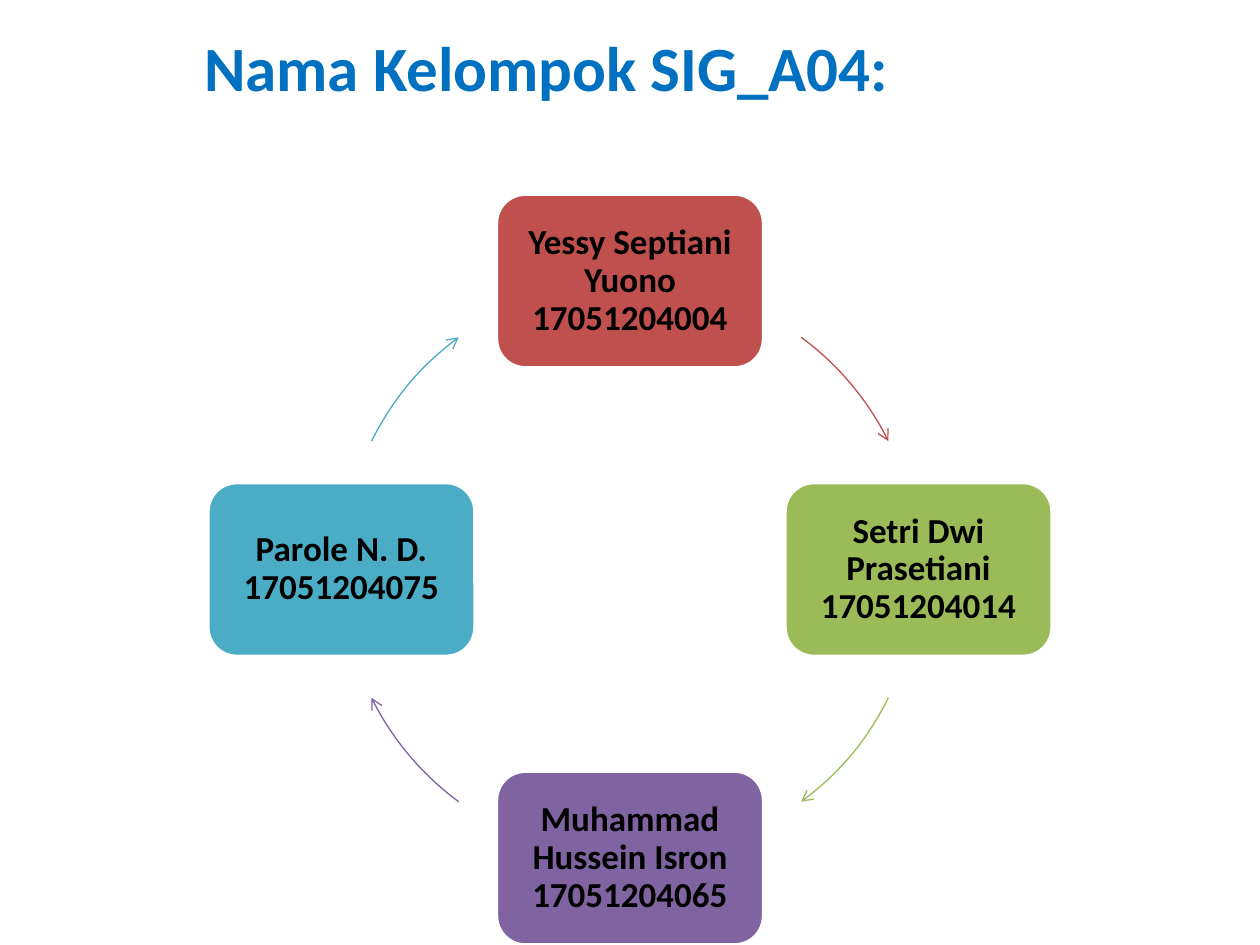
import math
from dataclasses import dataclass

from lxml import etree
from pptx import Presentation
from pptx.dml.color import RGBColor
from pptx.enum.shapes import MSO_SHAPE
from pptx.enum.text import MSO_ANCHOR, PP_ALIGN
from pptx.oxml.ns import qn
from pptx.slide import Slide
from pptx.text.text import Font
from pptx.util import Inches, Pt

ROUNDED_BOX = MSO_SHAPE.ROUNDED_RECTANGLE
ARC = MSO_SHAPE.ARC
MIDDLE = MSO_ANCHOR.MIDDLE
CENTER = PP_ALIGN.CENTER
LEFT = PP_ALIGN.LEFT

BLUE = RGBColor(0x00, 0x70, 0xC0)
BLACK = RGBColor(0x00, 0x00, 0x00)
WHITE = RGBColor(0xFF, 0xFF, 0xFF)
RED = RGBColor(0xC0, 0x50, 0x4D)
GREEN = RGBColor(0x9B, 0xBB, 0x59)
PURPLE = RGBColor(0x80, 0x64, 0xA2)
TEAL = RGBColor(0x4B, 0xAC, 0xC6)

SLIDE_WIDTH, SLIDE_HEIGHT = Inches(10), Inches(7.5)
BOX_WIDTH, BOX_HEIGHT = Inches(2.12), Inches(1.38)
BOX_INSET = Inches(0.08)
RADIUS = Inches(2.29)
CENTER_X = SLIDE_WIDTH // 2
CENTER_Y = SLIDE_HEIGHT - BOX_HEIGHT // 2 - RADIUS
ARC_HALF_SWEEP = 13.6
ARC_UNIT = 0.6  # arc adjustments count 60000ths of a degree, scaled by 100000


@dataclass(frozen=True)
class Member:
    """A group member; angles run clockwise in degrees from three o'clock."""
    label: str
    color: RGBColor
    box_angle: float
    arrow_angle: float


MEMBERS = [
    Member("Yessy Septiani Yuono 17051204004", RED, 270, 320),
    Member("Setri Dwi Prasetiani 17051204014", GREEN, 0, 40),
    Member("Muhammad Hussein Isron 17051204065", PURPLE, 90, 140),
    Member("Parole N. D. 17051204075", TEAL, 180, 220),
]


def set_font(font: Font, size: int, color: RGBColor) -> None:
    font.name = "Calibri"
    font.size = Pt(size)
    font.bold = True
    font.color.rgb = color


def add_title(slide: Slide, text: str) -> None:
    title = slide.shapes.title
    title.left, title.top = Inches(1.52), 0
    title.width, title.height = Inches(6.97), Inches(1.06)
    title.text_frame.text = text
    title.text_frame.vertical_anchor = MIDDLE
    paragraph = title.text_frame.paragraphs[0]
    paragraph.alignment = LEFT
    set_font(paragraph.font, 36, BLUE)


def add_member_box(slide: Slide, member: Member) -> None:
    angle = math.radians(member.box_angle)
    left = round(CENTER_X + RADIUS * math.cos(angle) - BOX_WIDTH / 2)
    top = round(CENTER_Y + RADIUS * math.sin(angle) - BOX_HEIGHT / 2)
    box = slide.shapes.add_shape(ROUNDED_BOX, left, top, BOX_WIDTH, BOX_HEIGHT)
    box.shadow.inherit = False
    box.fill.solid()
    box.fill.fore_color.rgb = member.color
    box.line.color.rgb = WHITE
    box.line.width = Pt(2)

    frame = box.text_frame
    frame.text = member.label
    frame.word_wrap = True
    frame.vertical_anchor = MIDDLE
    frame.margin_left = frame.margin_right = BOX_INSET
    frame.margin_top = frame.margin_bottom = BOX_INSET
    paragraph = frame.paragraphs[0]
    paragraph.alignment = CENTER
    paragraph.line_spacing = 0.9
    set_font(paragraph.font, 20, BLACK)


def add_cycle_arrow(slide: Slide, member: Member) -> None:
    arrow = slide.shapes.add_shape(
        ARC, CENTER_X - RADIUS, CENTER_Y - RADIUS, 2 * RADIUS, 2 * RADIUS)
    arrow.adjustments[0] = (member.arrow_angle - ARC_HALF_SWEEP) * ARC_UNIT
    arrow.adjustments[1] = (member.arrow_angle + ARC_HALF_SWEEP) * ARC_UNIT
    arrow.shadow.inherit = False
    arrow.fill.background()
    arrow.line.color.rgb = member.color
    arrow.line.width = Pt(0.75)
    line = arrow.element.spPr.find(qn("a:ln"))
    etree.SubElement(line, qn("a:tailEnd"), type="arrow")


def main() -> None:
    presentation = Presentation()
    presentation.slide_width = SLIDE_WIDTH
    presentation.slide_height = SLIDE_HEIGHT
    title_only = presentation.slide_layouts.get_by_name("Title Only")
    slide = presentation.slides.add_slide(title_only)
    add_title(slide, "Nama Kelompok SIG_A04:")
    for member in MEMBERS:
        add_member_box(slide, member)
        add_cycle_arrow(slide, member)
    presentation.save("out.pptx")


if __name__ == "__main__":
    main()
